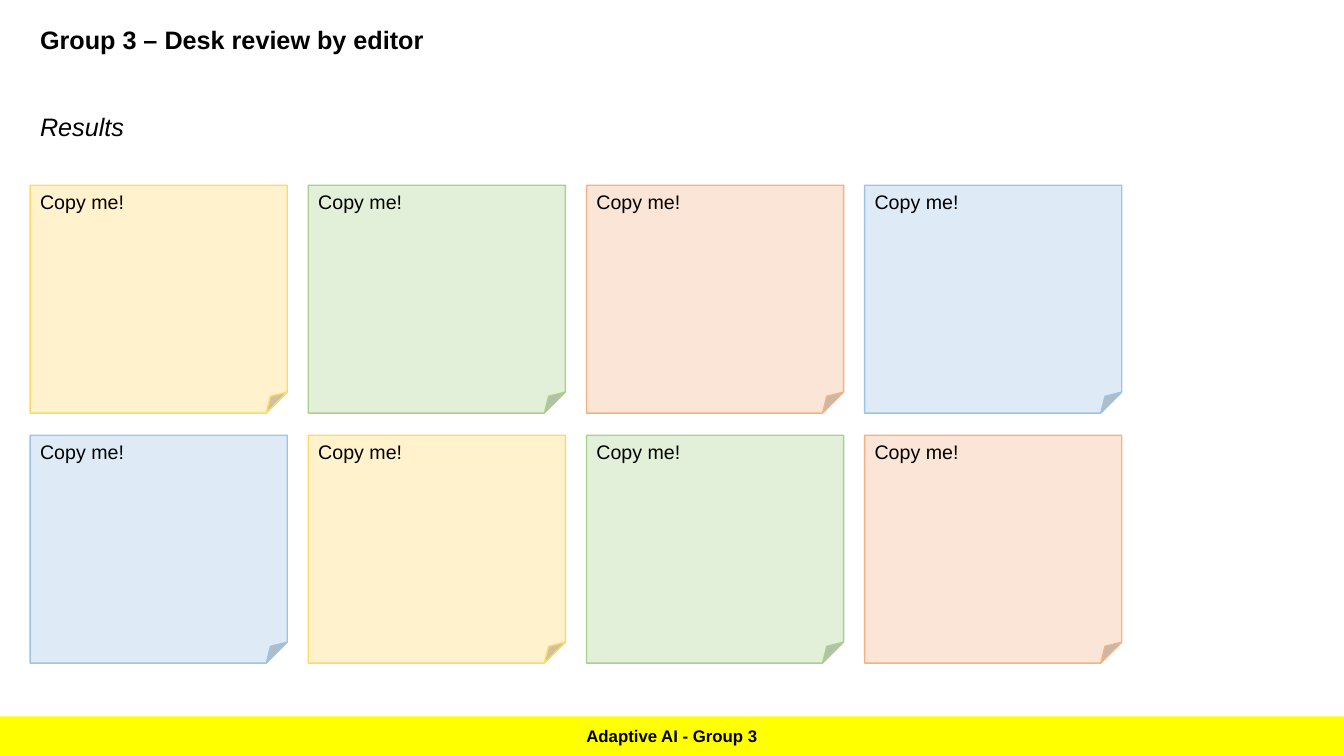
import lxml.etree
import pptx
import pptx.util
import pptx.dml.color
import pptx.enum.shapes
import pptx.enum.text
import pptx.oxml.ns

Cm = pptx.util.Cm
Pt = pptx.util.Pt
RGBColor = pptx.dml.color.RGBColor
MSO_SHAPE = pptx.enum.shapes.MSO_SHAPE
MSO_ANCHOR = pptx.enum.text.MSO_ANCHOR
MSO_AUTO_SIZE = pptx.enum.text.MSO_AUTO_SIZE
PP_ALIGN = pptx.enum.text.PP_ALIGN
qn = pptx.oxml.ns.qn

TITLE = "Group 3 – Desk review by editor"
SUBTITLE = "Results"
FOOTER = "Adaptive AI - Group 3"
NOTE_TEXT = "Copy me!"
NOTE_ROWS = [
    ["yellow", "green", "orange", "blue"],
    ["blue", "yellow", "green", "orange"],
]

FONT = "Arial"
BLACK = RGBColor(0x00, 0x00, 0x00)
BAR_YELLOW = RGBColor(0xFF, 0xFF, 0x00)
NOTE_COLORS = {
    "yellow": (RGBColor(0xFF, 0xF2, 0xCC), RGBColor(0xFF, 0xD9, 0x66)),
    "green": (RGBColor(0xE2, 0xF0, 0xD9), RGBColor(0xA9, 0xD1, 0x8E)),
    "orange": (RGBColor(0xFB, 0xE5, 0xD6), RGBColor(0xF4, 0xB1, 0x83)),
    "blue": (RGBColor(0xDE, 0xEB, 0xF7), RGBColor(0x9D, 0xC3, 0xE6)),
}

SLIDE_W, SLIDE_H = 33.87, 19.05
MARGIN = 0.76
BAR_H = 1.0
NOTE_W, NOTE_H = 6.48, 5.74
NOTE_TOP = 4.67
GAP_X, GAP_Y = 0.53, 0.56
FOLD = 9200

prs = pptx.Presentation()
prs.slide_width = Cm(SLIDE_W)
prs.slide_height = Cm(SLIDE_H)
s = prs.slides.add_slide(prs.slide_layouts[6])


def write(sp, text, size, bold=False, italic=False,
          align=PP_ALIGN.LEFT, anchor=MSO_ANCHOR.TOP):
    tf = sp.text_frame
    tf.word_wrap = True
    tf.vertical_anchor = anchor
    p = tf.paragraphs[0]
    p.alignment = align
    r = p.add_run()
    r.text = text
    r.font.name = FONT
    r.font.size = Pt(size)
    r.font.bold = bold
    r.font.italic = italic
    r.font.color.rgb = BLACK


def add_filled(shape, x, y, w, h, fill, line=None):
    sp = s.shapes.add_shape(shape, Cm(x), Cm(y), Cm(w), Cm(h))
    sp.shadow.inherit = False
    sp.fill.solid()
    sp.fill.fore_color.rgb = fill
    if line is None:
        sp.line.fill.background()
    else:
        sp.line.color.rgb = line
        sp.line.width = Pt(1)
    return sp


def add_heading(text, y, w, **style):
    sp = s.shapes.add_textbox(Cm(MARGIN), Cm(y), Cm(w), Cm(1.03))
    write(sp, text, 18, **style)
    sp.text_frame.auto_size = MSO_AUTO_SIZE.SHAPE_TO_FIT_TEXT


def set_fold(sp):
    geom = next(sp.element.iter(qn("a:prstGeom")))
    for old in list(geom):
        geom.remove(old)
    guides = lxml.etree.SubElement(geom, qn("a:avLst"))
    lxml.etree.SubElement(guides, qn("a:gd"), name="adj", fmla=f"val {FOLD}")


bar = add_filled(MSO_SHAPE.RECTANGLE, 0, SLIDE_H - BAR_H, SLIDE_W, BAR_H, BAR_YELLOW)
write(bar, FOOTER, 12, bold=True, align=PP_ALIGN.CENTER, anchor=MSO_ANCHOR.MIDDLE)

add_heading(TITLE, 0.48, 16.94, bold=True)
add_heading(SUBTITLE, 2.67, 32.41, italic=True)

for row, names in enumerate(NOTE_ROWS):
    for col, name in enumerate(names):
        x = MARGIN + col * (NOTE_W + GAP_X)
        y = NOTE_TOP + row * (NOTE_H + GAP_Y)
        note = add_filled(MSO_SHAPE.FOLDED_CORNER, x, y, NOTE_W, NOTE_H, *NOTE_COLORS[name])
        set_fold(note)
        write(note, NOTE_TEXT, 14)

prs.save("out.pptx")
